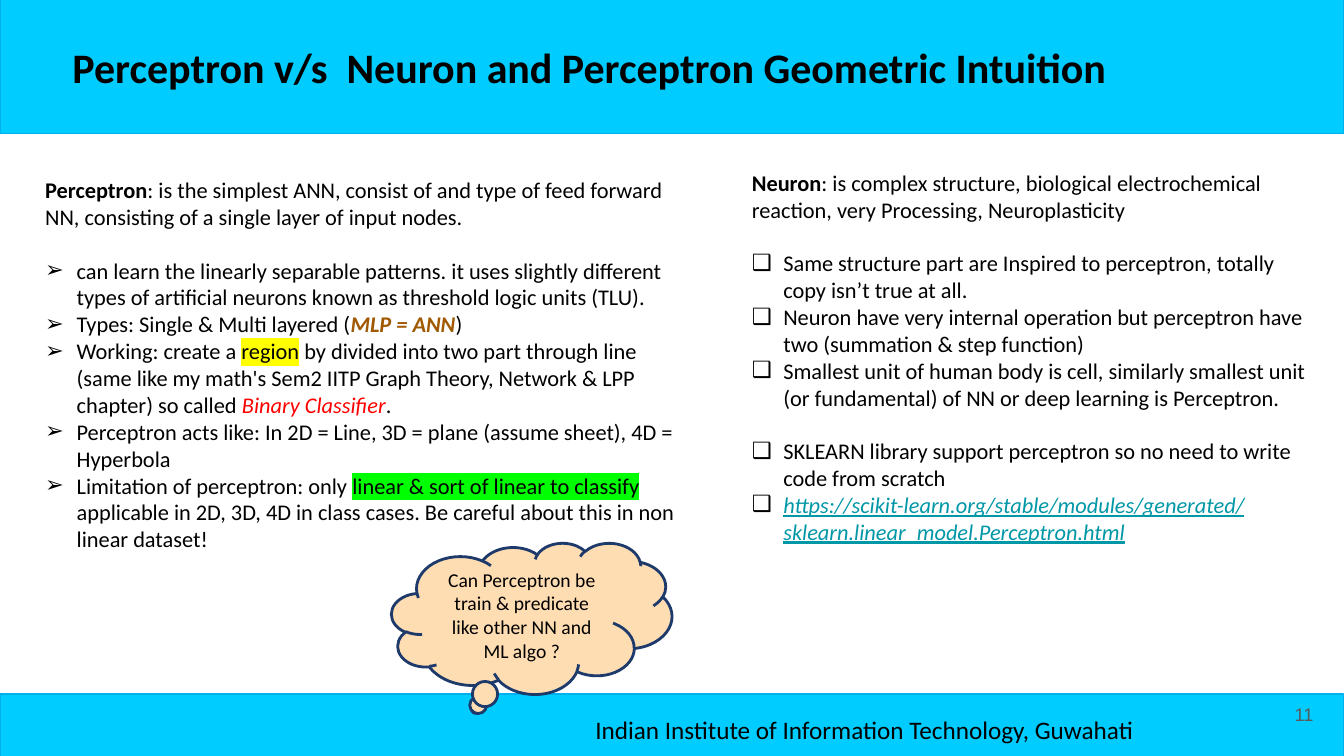
from lxml import etree
from pptx import Presentation
from pptx.dml.color import RGBColor
from pptx.enum.shapes import MSO_SHAPE
from pptx.enum.text import MSO_ANCHOR, MSO_AUTO_SIZE, PP_ALIGN
from pptx.oxml.ns import qn
from pptx.util import Emu, Pt

PX = 9525
SLIDE_W, SLIDE_H = 1280, 720
TWO_CONTENT_LAYOUT = 3
INDENT = 30
LINE_GAP = 19  # points, one empty line of body text

RECT, CLOUD = MSO_SHAPE.RECTANGLE, MSO_SHAPE.CLOUD_CALLOUT
LEFT, CENTER, RIGHT = PP_ALIGN.LEFT, PP_ALIGN.CENTER, PP_ALIGN.RIGHT
TOP, MIDDLE = MSO_ANCHOR.TOP, MSO_ANCHOR.MIDDLE

BLACK = RGBColor(0x00, 0x00, 0x00)
GREY = RGBColor(0x59, 0x59, 0x59)
CYAN = RGBColor(0x00, 0xCC, 0xFF)
BLUE = RGBColor(0x00, 0xB0, 0xF0)
NAVY = RGBColor(0x1D, 0x3A, 0x6B)
PEACH = RGBColor(0xFF, 0xDD, 0xB3)
BROWN = RGBColor(0xA0, 0x59, 0x00)
RED = RGBColor(0xFF, 0x00, 0x00)
TEAL = RGBColor(0x00, 0x97, 0xA7)
YELLOW = RGBColor(0xFF, 0xFF, 0x00)
GREEN = RGBColor(0x00, 0xFF, 0x00)

# Each paragraph is a list of (text, style) spans
BOLD = {"bold": True}
PERCEPTRON_INTRO = [
    ("Perceptron", BOLD),
    (": is the simplest ANN, consist of and type of feed forward NN, "
     "consisting of a single layer of input nodes.", {}),
]
PERCEPTRON_POINTS = [
    [("can learn the linearly separable patterns. it uses slightly different types of "
      "artificial neurons known as threshold logic units (TLU).", {})],
    [("Types: Single & Multi layered (", {}),
     ("MLP = ANN", {"color": BROWN, "bold": True, "italic": True}),
     (")", {})],
    [("Working: create a ", {}),
     ("region", {"highlight": YELLOW}),
     (" by divided into two part through line (same like my math's Sem2 IITP "
      "Graph Theory, Network & LPP chapter) so called ", {}),
     ("Binary Classifier", {"color": RED, "italic": True}),
     (".", {})],
    [("Perceptron acts like: In 2D = Line, 3D = plane (assume sheet), "
      "4D = Hyperbola", {})],
    [("Limitation of perceptron: only ", {}),
     ("linear & sort of linear to classify", {"highlight": GREEN}),
     (" applicable in 2D, 3D, 4D in class cases. Be careful about this in "
      "non linear dataset!", {})],
]
NEURON_INTRO = [
    ("Neuron", BOLD),
    (": is complex structure, biological electrochemical reaction, "
     "very Processing, Neuroplasticity", {}),
]
NEURON_POINTS = [
    [("Same structure part are Inspired to perceptron, totally copy isn’t true "
      "at all.", {})],
    [("Neuron have very internal operation but perceptron have two "
      "(summation & step function)", {})],
    [("Smallest unit of human body is cell, similarly smallest unit (or fundamental) "
      "of NN or deep learning is Perceptron.", {})],
    [("SKLEARN library support perceptron so no need to write code from scratch", {})],
    [("https://scikit-learn.org/stable/modules/generated/"
      "sklearn.linear_model.Perceptron.html",
      {"color": TEAL, "italic": True, "underline": True})],
]


def px(*lengths):
    return [Emu(length * PX) for length in lengths]


def add_span(para, text, size, color=BLACK, font="Calibri", bold=False,
             italic=False, underline=False, highlight=None):
    span = para.add_run()
    span.text = text
    span.font.name = font
    span.font.size = Pt(size)
    span.font.bold = bold
    span.font.italic = italic
    span.font.underline = underline
    span.font.color.rgb = color
    if highlight is not None:
        mark = etree.Element(qn("a:highlight"))
        etree.SubElement(mark, qn("a:srgbClr"), val=str(highlight))
        span.font.fill  # the highlight follows the text fill
        span.font._element.find(qn("a:solidFill")).addnext(mark)


def format_para(para, align=LEFT, space_before=0):
    para.alignment = align
    para.line_spacing = 1.0
    para.space_before = Pt(space_before)
    para.space_after = Pt(0)


def set_bullet(para, char):
    props = para._p.get_or_add_pPr()
    indent = INDENT * PX if char else 0
    props.set("marL", str(indent))
    props.set("indent", str(-indent))
    if not char:
        etree.SubElement(props, qn("a:buNone"))
        return
    color = etree.SubElement(props, qn("a:buClr"))
    etree.SubElement(color, qn("a:srgbClr"), val=str(BLACK))
    etree.SubElement(props, qn("a:buFont"), typeface="Arial")
    etree.SubElement(props, qn("a:buChar"), char=char)


def set_frame(box, anchor=TOP, inset_x=10, inset_y=5):
    frame = box.text_frame
    frame.word_wrap = True
    frame.auto_size = MSO_AUTO_SIZE.NONE
    frame.vertical_anchor = anchor
    frame.margin_left, frame.margin_right = px(inset_x, inset_x)
    frame.margin_top, frame.margin_bottom = px(inset_y, inset_y)
    return frame


def add_preset(page, kind, bounds, fill, line, width):
    shape = page.shapes.add_shape(kind, *px(*bounds))
    shape.shadow.inherit = False
    shape.fill.solid()
    shape.fill.fore_color.rgb = fill
    shape.line.color.rgb = line
    shape.line.width = Pt(width)
    return shape


def write_line(box, text, size, align=LEFT, anchor=TOP, inset_x=10, inset_y=5, **style):
    para = set_frame(box, anchor, inset_x, inset_y).paragraphs[0]
    format_para(para, align)
    add_span(para, text, size, **style)


def place(page, box, bounds):
    """Position a placeholder and bring it in front of the bands."""
    box.left, box.top, box.width, box.height = px(*bounds)
    page.shapes._spTree.append(box._element)


def write_list(box, intro, points, bullet, gaps_before):
    frame = set_frame(box)
    for index, spans in enumerate([intro] + points):
        para = frame.add_paragraph() if index else frame.paragraphs[0]
        format_para(para, space_before=LINE_GAP if index in gaps_before else 0)
        set_bullet(para, bullet if index else None)
        for text, style in spans:
            add_span(para, text, 16, **style)


def main():
    deck = Presentation()
    deck.slide_width, deck.slide_height = px(SLIDE_W, SLIDE_H)
    page = deck.slides.add_slide(deck.slide_layouts[TWO_CONTENT_LAYOUT])
    title, left_body, right_body = page.placeholders

    # Header and footer bands
    for top, height in ((0, 127), (661, 65)):
        add_preset(page, RECT, (0, top, SLIDE_W, height), CYAN, BLUE, 0.75)
    footer = page.shapes.add_textbox(*px(557, 675, 550, 38))
    write_line(footer, "Indian Institute of Information Technology, Guwahati", 18)
    number = page.shapes.add_textbox(*px(1186, 653, 77, 55))
    write_line(number, "11", 13, RIGHT, MIDDLE, 12, 12, color=GREY, font="Arial")

    # Title
    place(page, title, (59, 35, 1127, 59))
    write_line(title, "Perceptron v/s  Neuron and Perceptron Geometric Intuition",
               30, bold=True)

    # Two columns of points
    place(page, left_body, (33, 163, 629, 423))
    write_list(left_body, PERCEPTRON_INTRO, PERCEPTRON_POINTS, "➢", {1})
    place(page, right_body, (706, 156, 557, 475))
    write_list(right_body, NEURON_INTRO, NEURON_POINTS, "❑", {1, 4})

    # Thought cloud
    cloud = add_preset(page, CLOUD, (373, 517, 267, 144), PEACH, NAVY, 2)
    cloud.adjustments[0], cloud.adjustments[1] = -0.2, 0.6
    write_line(cloud, "Can Perceptron be train & predicate like other NN and ML algo ?",
               14, CENTER, MIDDLE)

    deck.save("out.pptx")


if __name__ == "__main__":
    main()
